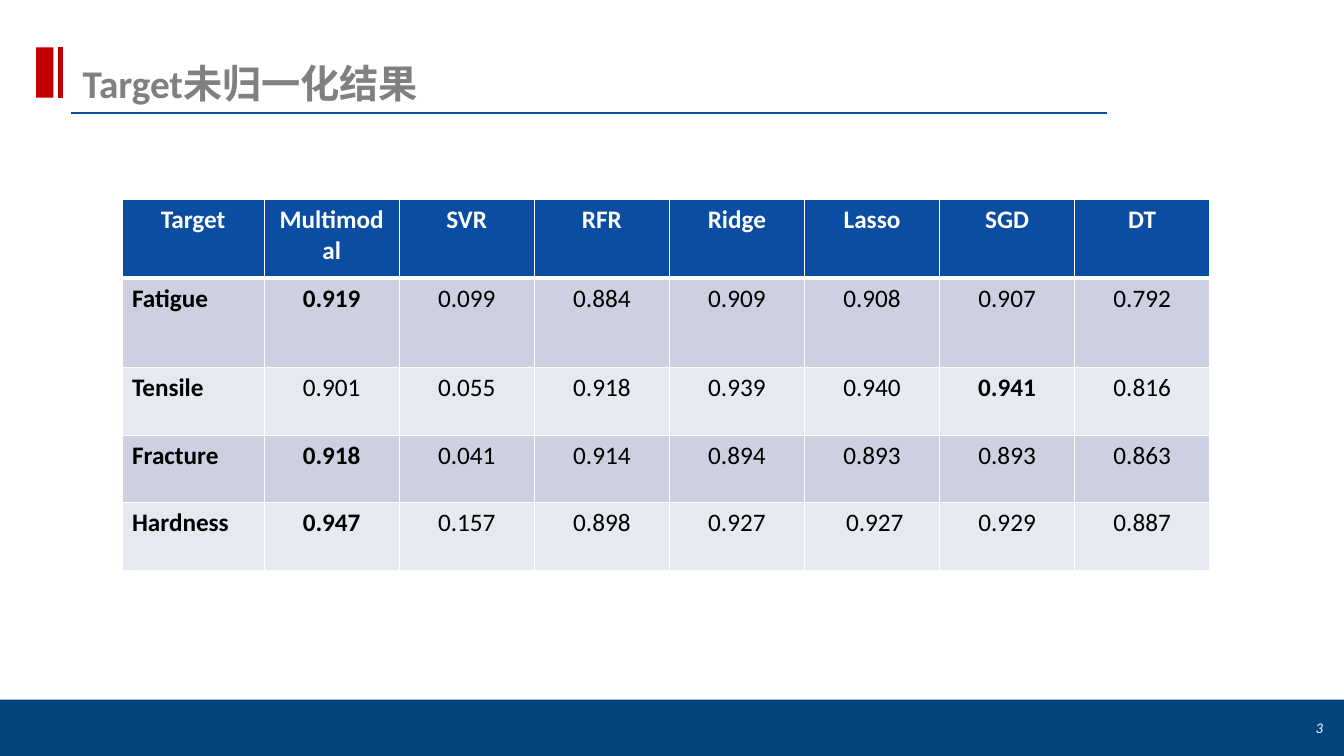
from lxml.etree import SubElement
from pptx import Presentation
from pptx.dml.color import RGBColor
from pptx.enum.shapes import MSO_CONNECTOR, MSO_SHAPE
from pptx.enum.text import MSO_ANCHOR, MSO_AUTO_SIZE, PP_ALIGN
from pptx.oxml import parse_xml
from pptx.oxml.ns import nsdecls, qn
from pptx.util import Inches, Pt

COLORS = {
    "footer": "00447C",
    "blue": "0B4DA2",
    "red": "C00000",
    "title": "808080",
    "white": "FFFFFF",
    "black": "000000",
    "dark_band": "CCD0E0",
    "light_band": "E7E9F0",
}
FORMATS = {
    "title": {"size": Pt(28), "bold": True},
    "number": {"size": Pt(10.5), "bold": False, "italic": True},
    "strong": {"size": Pt(18), "bold": True},
    "plain": {"size": Pt(18), "bold": False},
}


class SlideBuilder:
    font_name = "Calibri"

    def __init__(self, slide):
        self.slide = slide

    def color(self, name):
        return RGBColor.from_string(COLORS[name])

    def add_text(self, frame, text, style, color, align=PP_ALIGN.LEFT):
        paragraph = frame.paragraphs[0]
        paragraph.alignment = align
        run = paragraph.add_run()
        run.text = text
        for attribute, value in FORMATS[style].items():
            setattr(run.font, attribute, value)
        run.font.name = self.font_name
        run.font.color.rgb = self.color(color)
        return paragraph

    def set_frame(self, frame, anchor):
        settings = {
            "word_wrap": True,
            "auto_size": MSO_AUTO_SIZE.NONE,
            "vertical_anchor": anchor,
        }
        for attribute, value in settings.items():
            setattr(frame, attribute, value)

    def bar(self, left, top, width, height, color):
        block = self.slide.shapes.add_shape(
            MSO_SHAPE.RECTANGLE, *map(Inches, (left, top, width, height)))
        block.shadow.inherit = False
        block.fill.solid()
        block.fill.fore_color.rgb = self.color(color)
        block.line.fill.background()

    def rule(self, x1, y1, x2, y2, color, weight):
        stroke = self.slide.shapes.add_connector(
            MSO_CONNECTOR.STRAIGHT, *map(Inches, (x1, y1, x2, y2)))
        stroke.line.color.rgb = self.color(color)
        stroke.line.width = Pt(weight)
        SubElement(stroke._element.spPr, qn("a:effectLst"))

    def title(self, text, left, top, width, height):
        heading = self.slide.shapes.title
        place = {"left": left, "top": top, "width": width, "height": height}
        for attribute, value in place.items():
            setattr(heading, attribute, Inches(value))
        self.set_frame(heading.text_frame, MSO_ANCHOR.BOTTOM)
        self.add_text(heading.text_frame, text, "title", "title").line_spacing = 0.85

    def label(self, text, left, top, width, height):
        box = self.slide.shapes.add_textbox(
            *map(Inches, (left, top, width, height)))
        self.set_frame(box.text_frame, MSO_ANCHOR.MIDDLE)
        self.add_text(box.text_frame, text, "number", "white", PP_ALIGN.RIGHT)

    def cell(self, cell, text, fill, style, color, align, borders):
        cell.fill.solid()
        cell.fill.fore_color.rgb = self.color(fill)
        self.add_text(cell.text_frame, text, style, color, align)
        properties = cell._tc.get_or_add_tcPr()
        for position, (side, weight) in enumerate(borders.items()):
            properties.insert(position, parse_xml(
                f'<a:ln{side} {nsdecls("a")} w="{Pt(weight)}"><a:solidFill>'
                f'<a:srgbClr val="{COLORS["white"]}"/></a:solidFill></a:ln{side}>'))

    def table(self, header, results, left, top, widths, heights):
        grid = self.slide.shapes.add_table(
            len(heights), len(widths), Inches(left), Inches(top),
            Inches(sum(widths)), Inches(sum(heights))).table
        for column, width in zip(grid.columns, widths):
            column.width = Inches(width)
        for row, height in zip(grid.rows, heights):
            row.height = Inches(height)
        for column, name in enumerate(header):
            self.cell(grid.cell(0, column), name, "blue", "strong", "white",
                      PP_ALIGN.CENTER, {"L": 1, "R": 1, "T": 1, "B": 3})
        for row, (target, scores) in enumerate(results.items(), 1):
            best = max(scores, key=float)
            band = "dark_band" if row % 2 else "light_band"
            borders = {"L": 1, "R": 1, "T": 3 if row == 1 else 1, "B": 1}
            for column, text in enumerate([target, *scores]):
                style = "strong" if text in (target, best) else "plain"
                align = PP_ALIGN.CENTER if column else PP_ALIGN.LEFT
                self.cell(grid.cell(row, column), text, band, style, "black",
                          align, borders)


presentation = Presentation()
presentation.slide_width = Inches(13.33)
presentation.slide_height = Inches(7.5)
page = SlideBuilder(presentation.slides.add_slide(presentation.slide_layouts[5]))

page.bar(0, 6.94, 13.33, 0.56, "footer")
page.rule(0.7, 1.12, 10.98, 1.12, "blue", 1.5)
page.bar(0.36, 0.47, 0.17, 0.5, "red")
page.rule(0.6, 0.47, 0.6, 0.97, "red", 3)
page.title("Target未归一化结果", 0.72, 0.25, 10.26, 0.86)
page.label("3", 11.79, 7.02, 1.43, 0.4)

models = ["Target", "Multimodal", "SVR", "RFR", "Ridge", "Lasso", "SGD", "DT"]
scores_by_target = {
    "Fatigue": ["0.919", "0.099", "0.884", "0.909", "0.908", "0.907", "0.792"],
    "Tensile": ["0.901", "0.055", "0.918", "0.939", "0.940", "0.941", "0.816"],
    "Fracture": ["0.918", "0.041", "0.914", "0.894", "0.893", "0.893", "0.863"],
    "Hardness": ["0.947", "0.157", "0.898", "0.927", " 0.927", "0.929", "0.887"],
}
page.table(models, scores_by_target, 1.21, 1.98,
           [1.41] + [1.34] * 7, [0.78, 0.89] + [0.67] * 3)

presentation.save("out.pptx")
